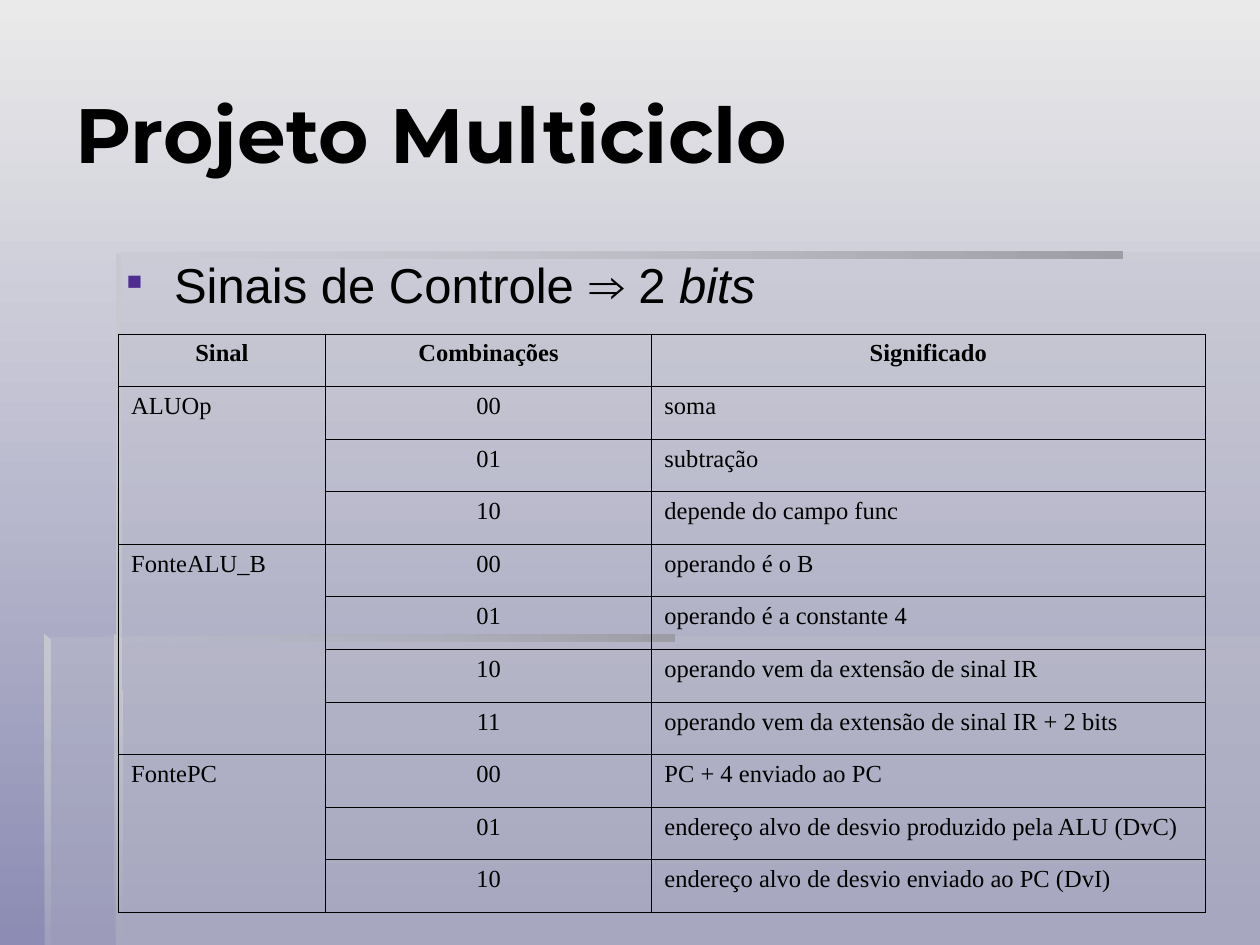
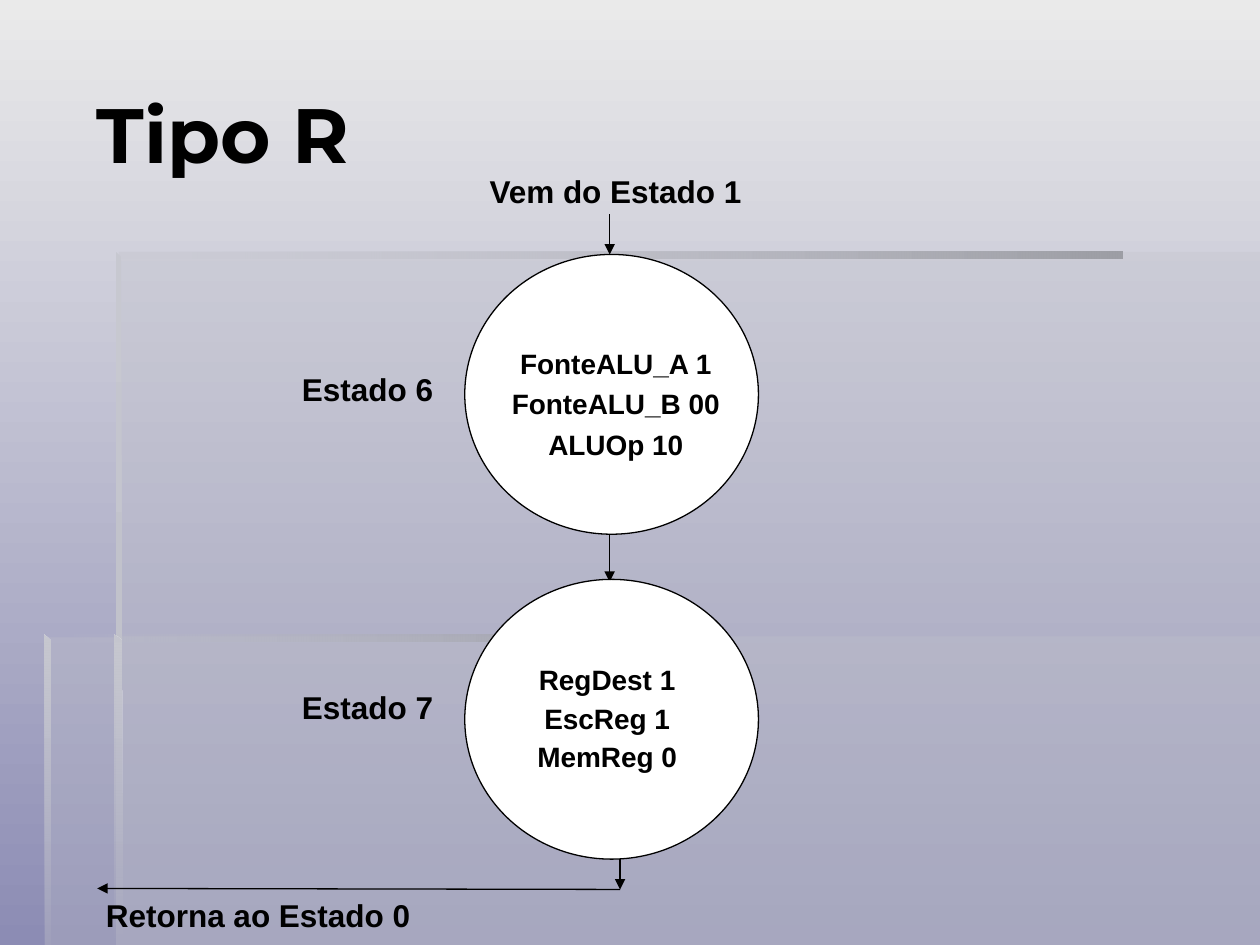
from dataclasses import dataclass

from lxml import etree
from pptx import Presentation
from pptx.dml.color import RGBColor
from pptx.enum.shapes import MSO_CONNECTOR, MSO_SHAPE
from pptx.enum.text import MSO_ANCHOR, PP_ALIGN
from pptx.oxml.ns import qn
from pptx.util import Cm, Pt

STRAIGHT = MSO_CONNECTOR.STRAIGHT
OVAL = MSO_SHAPE.OVAL
TOP, MIDDLE = MSO_ANCHOR.TOP, MSO_ANCHOR.MIDDLE
LEFT, CENTER = PP_ALIGN.LEFT, PP_ALIGN.CENTER

PAGE_WIDTH, PAGE_HEIGHT = 25.4, 19.05


@dataclass(frozen=True)
class Theme:
    ink: str = "000000"
    white: str = "FFFFFF"
    sky: str = "EAEAEA"
    dusk: str = "8C8CB4"
    panel: str = "C1C2CB"
    band: str = "9D9EA5"
    edge: str = "C7C8D0"
    bullet: str = "4E2D91"
    title_font: str = "Montserrat"
    body_font: str = "Arial"
    table_font: str = "Times New Roman"
    title_size: int = 44
    gap_size: int = 32
    body_size: int = 28
    label_size: int = 18
    signal_size: int = 16
    table_size: int = 14
    line_width: float = 0.75
    border_width: float = 0.45


def rectangle(left, top, right, bottom):
    return [(left, top), (left, bottom), (right, bottom), (right, top)]


def add_child(parent, tag, **attributes):
    return etree.SubElement(parent, qn(tag), attributes)


class SlideBuilder:
    def __init__(self, deck, theme):
        self.deck = deck
        self.theme = theme
        self.page = None

    def new_page(self, title, left):
        self.page = self.deck.slides.add_slide(self.deck.slide_layouts[6])
        self.gradient(self.page.background.fill, self.theme.sky, self.theme.dusk, 90)
        self.frame()
        self.text([title], left, 0.69, 23.3, 3.99, self.theme.title_size,
                  font=self.theme.title_font, align=LEFT, anchor=MIDDLE)

    def gradient(self, fill, start, end, angle):
        fill.gradient()
        fill.gradient_angle = 360 - angle
        for stop, color, position in zip(fill.gradient_stops, (start, end), (0, 1)):
            stop.color.rgb = RGBColor.from_string(color)
            stop.position = position

    def outline(self, points):
        corners = [(Cm(x), Cm(y)) for x, y in points]
        builder = self.page.shapes.build_freeform(*corners[0])
        builder.add_line_segments(corners[1:], close=True)
        shape = builder.convert_to_shape()
        shape.shadow.inherit = False
        shape.line.fill.background()
        return shape

    def set_opacity(self, shape, percent):
        color = list(shape.element.spPr.iter(qn("a:srgbClr")))[-1]
        add_child(color, "a:alpha", val=str(percent * 1000))

    def panel(self, points):
        shape = self.outline(points)
        shape.fill.solid()
        shape.fill.fore_color.rgb = RGBColor.from_string(self.theme.panel)
        self.set_opacity(shape, 30)

    def fading_band(self, points, start, angle, end_opacity):
        shape = self.outline(points)
        self.gradient(shape.fill, start, self.theme.panel, angle)
        self.set_opacity(shape, end_opacity)

    def frame(self):
        band, edge = self.theme.band, self.theme.edge
        self.panel(rectangle(2.34, 12.83, PAGE_WIDTH, PAGE_HEIGHT))
        self.panel([(2.39, 12.85), (0.91, 12.85), (0.91, PAGE_HEIGHT),
                    (PAGE_WIDTH, PAGE_HEIGHT), (PAGE_WIDTH, 5.08), (2.39, 5.08)])
        self.fading_band(rectangle(2.34, 5.08, 22.63, 5.21), band, 180, 0)
        self.fading_band([(2.34, 5.08), (2.34, 12.95), (2.46, 12.95), (2.44, 5.18)],
                         edge, 90, 100)
        self.fading_band([(2.31, PAGE_HEIGHT), (2.46, PAGE_HEIGHT), (2.44, 12.9),
                          (2.31, 12.8)], edge, 90, 0)
        self.fading_band(rectangle(0.89, 12.8, 13.59, 12.93), band, 180, 0)
        self.fading_band([(0.89, 12.8), (0.89, PAGE_HEIGHT), (1.02, PAGE_HEIGHT),
                          (1.02, 12.93)], edge, 90, 10)

    def style(self, span, size, font, bold=False, italic=False):
        span.font.size = Pt(size)
        span.font.name = font
        span.font.bold = bold
        span.font.italic = italic
        span.font.color.rgb = RGBColor.from_string(self.theme.ink)

    def box(self, left, top, width, height, anchor=TOP):
        box = self.page.shapes.add_textbox(Cm(left), Cm(top), Cm(width), Cm(height))
        box.text_frame.word_wrap = True
        box.text_frame.vertical_anchor = anchor
        return box

    def text(self, lines, left, top, width, height, size, font=None,
             align=CENTER, anchor=TOP, spacing=1.0):
        box = self.box(left, top, width, height, anchor)
        box.text_frame.text = "\n".join(lines)
        for para in box.text_frame.paragraphs:
            para.alignment = align
            para.line_spacing = spacing
            for span in para.runs:
                self.style(span, size, font or self.theme.body_font, bold=True)

    def bullet(self, pieces, left, top, width, height):
        para = self.box(left, top, width, height).text_frame.paragraphs[0]
        properties = para._p.get_or_add_pPr()
        properties.set("marL", str(Cm(0.97)))
        properties.set("indent", str(Cm(-0.97)))
        add_child(add_child(properties, "a:buClr"), "a:srgbClr", val=self.theme.bullet)
        add_child(properties, "a:buFont", typeface=self.theme.body_font)
        add_child(properties, "a:buChar", char="▪")
        para.line_spacing = 0.8
        for words, size, italic in pieces:
            span = para.add_run()
            span.text = words
            self.style(span, size, self.theme.body_font, italic=italic)

    def border(self, cell):
        properties = cell._tc.get_or_add_tcPr()
        for side in ("a:lnL", "a:lnR", "a:lnT", "a:lnB"):
            line = add_child(properties, side, w=str(Pt(self.theme.border_width)))
            add_child(add_child(line, "a:solidFill"), "a:srgbClr", val=self.theme.ink)

    def cell(self, cell, words, bold, align):
        self.border(cell)
        cell.fill.background()
        cell.text = words
        para = cell.text_frame.paragraphs[0]
        para.alignment = align
        for span in para.runs:
            self.style(span, self.theme.table_size, self.theme.table_font, bold)

    def table(self, header, groups, left, top, widths, row_height):
        rows = [header]
        merges = []
        for signal, meanings in groups:
            merges.append((len(rows), len(rows) + len(meanings) - 1))
            for index, (code, meaning) in enumerate(meanings):
                rows.append(("" if index else signal, code, meaning))
        table = self.page.shapes.add_table(
            len(rows), len(header), Cm(left), Cm(top),
            Cm(sum(widths)), Cm(row_height * len(rows))).table
        table.first_row = table.horz_banding = False
        for column, width in zip(table.columns, widths):
            column.width = Cm(width)
        for r, row in enumerate(rows):
            table.rows[r].height = Cm(row_height)
            for c, words in enumerate(row):
                align = CENTER if r == 0 or c == 1 else LEFT
                self.cell(table.cell(r, c), words, r == 0, align)
        for first, last in merges:
            table.cell(first, 0).merge(table.cell(last, 0))

    def stroke(self, line):
        line.color.rgb = RGBColor.from_string(self.theme.ink)
        line.width = Pt(self.theme.line_width)

    def arrow(self, x1, y1, x2, y2):
        arrow = self.page.shapes.add_connector(STRAIGHT, Cm(x1), Cm(y1), Cm(x2), Cm(y2))
        self.stroke(arrow.line)
        add_child(arrow.line._get_or_add_ln(), "a:tailEnd", type="triangle")
        add_child(arrow._element.spPr, "a:effectLst")

    def circle(self, left, top, width, height):
        circle = self.page.shapes.add_shape(OVAL, Cm(left), Cm(top), Cm(width), Cm(height))
        circle.shadow.inherit = False
        circle.fill.solid()
        circle.fill.fore_color.rgb = RGBColor.from_string(self.theme.white)
        self.stroke(circle.line)


def control_signals(builder):
    theme = builder.theme
    builder.new_page("Projeto Multiciclo", 1.27)
    builder.bullet([("Sinais de Controle", theme.body_size, False),
                    (" ", theme.gap_size, False),
                    ("⇒ 2 ", theme.body_size, False),
                    ("bits", theme.body_size, True)], 2.29, 5.13, 21.36, 2.21)
    groups = [
        ("ALUOp", [("00", "soma"), ("01", "subtração"), ("10", "depende do campo func")]),
        ("FonteALU_B", [("00", "operando é o B"),
                        ("01", "operando é a constante 4"),
                        ("10", "operando vem da extensão de sinal IR"),
                        ("11", "operando vem da extensão de sinal IR + 2 bits")]),
        ("FontePC", [("00", "PC + 4 enviado ao PC"),
                     ("01", "endereço alvo de desvio produzido pela ALU (DvC)"),
                     ("10", "endereço alvo de desvio enviado ao PC (DvI)")]),
    ]
    builder.table(("Sinal", "Combinações", "Significado"), groups,
                  2.39, 6.73, (4.17, 6.58, 11.15), 1.06)


def type_r_states(builder):
    theme = builder.theme
    builder.new_page("Tipo R", 1.7)
    builder.text(["Vem do Estado 1"], 8.31, 3.35, 8.2, 1.57, theme.label_size)
    builder.text(["Retorna ao Estado 0"], 1.7, 17.93, 7.01, 1.19, theme.label_size)
    for x1, y1, x2, y2 in [(12.29, 4.32, 12.29, 5.13), (12.29, 10.72, 12.29, 11.73),
                           (12.5, 16.92, 12.5, 17.93), (12.5, 17.93, 1.96, 17.91)]:
        builder.arrow(x1, y1, x2, y2)
    states = [
        ("Estado 6", 5.13, 7.34, ["FonteALU_A 1", "FonteALU_B 00", "ALUOp 10"],
         (9.09, 6.73, 6.65, 4.19), 1.2),
        ("Estado 7", 11.68, 13.74, ["RegDest 1", "EscReg 1", "MemReg 0"],
         (9.09, 13.13, 6.3, 2.79), 1.15),
    ]
    for name, circle_top, name_top, signals, place, spacing in states:
        builder.text([name], 5.11, name_top, 4.6, 1.57, theme.label_size)
        builder.circle(9.37, circle_top, 5.92, 5.64)
        builder.text(signals, *place, theme.signal_size, spacing=spacing)


def main():
    deck = Presentation()
    deck.slide_width, deck.slide_height = Cm(PAGE_WIDTH), Cm(PAGE_HEIGHT)
    builder = SlideBuilder(deck, Theme())
    control_signals(builder)
    type_r_states(builder)
    deck.save("out.pptx")


if __name__ == "__main__":
    main()
